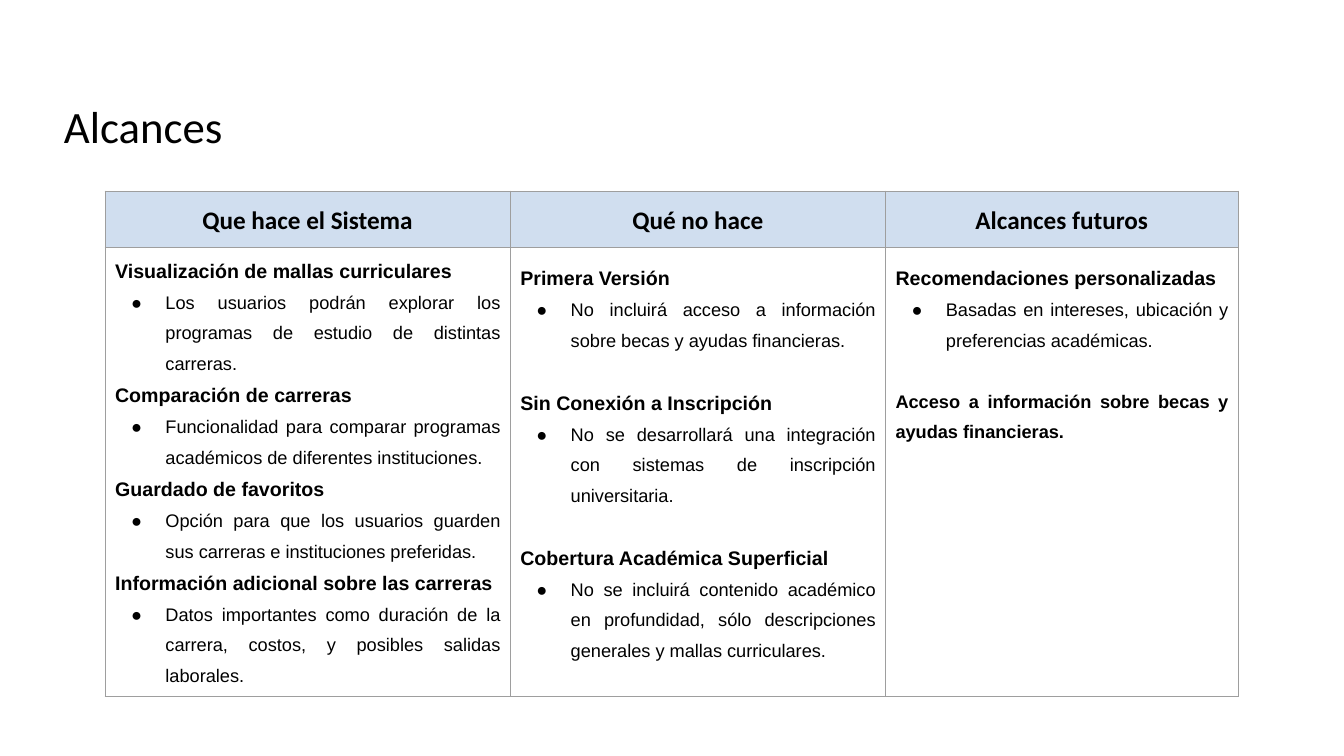
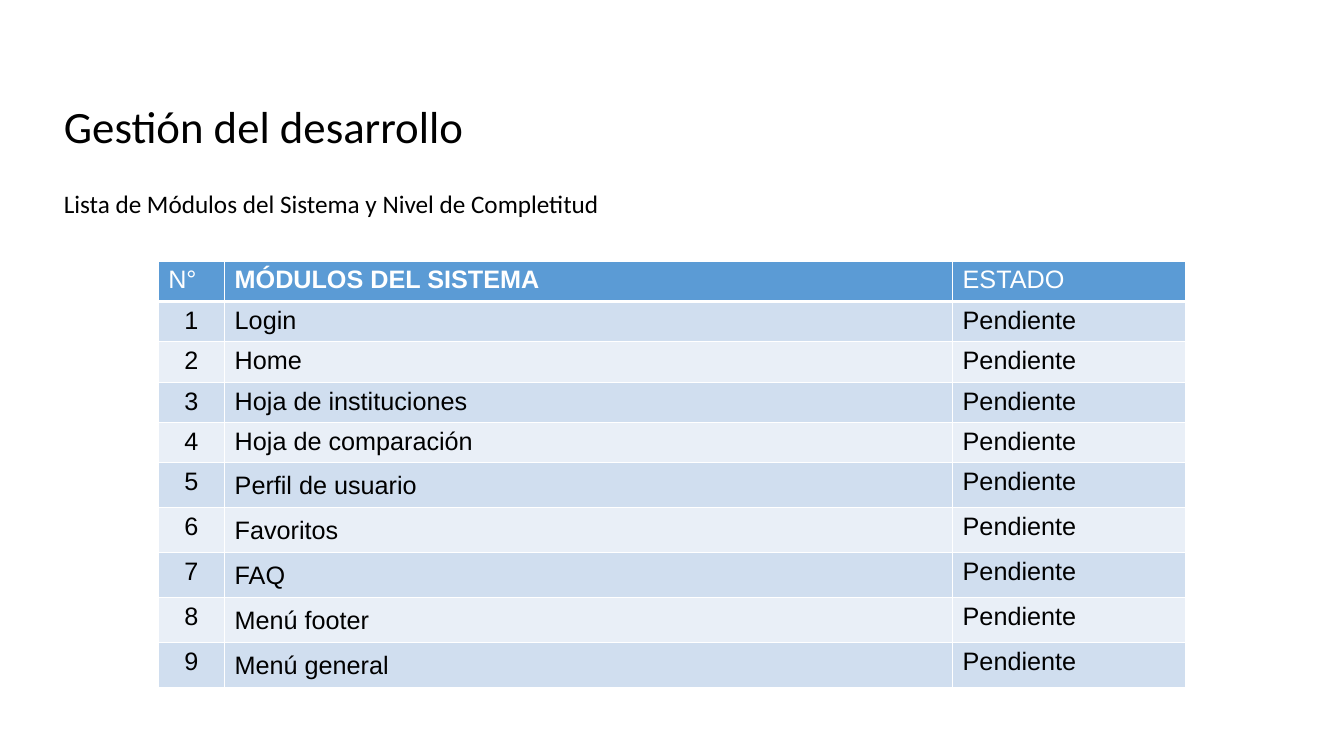
from dataclasses import dataclass

from lxml import etree
from pptx import Presentation
from pptx.dml.color import RGBColor
from pptx.enum.text import MSO_ANCHOR, PP_ALIGN
from pptx.oxml.ns import qn
from pptx.util import Pt

LEFT, CENTER, JUSTIFY = PP_ALIGN.LEFT, PP_ALIGN.CENTER, PP_ALIGN.JUSTIFY
MIDDLE = MSO_ANCHOR.MIDDLE
TITLE_ONLY = 5


@dataclass(frozen=True)
class Theme:
    black: str = "000000"
    white: str = "FFFFFF"
    grid: str = "9E9E9E"
    accent: str = "5B9BD5"
    band: str = "D0DEEF"
    pale_band: str = "E9EFF7"
    heading_font: str = "Calibri"
    body_font: str = "Arial"
    title: float = 32
    label: float = 18
    topic: float = 14
    detail: float = 13


THEME = Theme()


@dataclass
class Line:
    text: str
    size: float = THEME.label
    font: str = THEME.body_font
    color: str = THEME.black
    bold: bool = False
    align: PP_ALIGN = LEFT
    spacing: float = 1.0
    gap: float = 0
    bullet: bool = False


class Deck:
    def __init__(self, theme):
        self.theme = theme
        self.presentation = Presentation()
        self.presentation.slide_width = Pt(960)
        self.presentation.slide_height = Pt(540)
        self.slide = None

    def new_slide(self, heading):
        layout = self.presentation.slide_layouts[TITLE_ONLY]
        self.slide = self.presentation.slides.add_slide(layout)
        title = self.slide.shapes.title
        title.left, title.top = Pt(38.5), Pt(63.5)
        title.width, title.height = Pt(883.5), Pt(57)
        title.text_frame.vertical_anchor = MIDDLE
        self.set_lines(title.text_frame, [Line(
            heading, self.theme.title, self.theme.heading_font, spacing=0.9)])

    def set_lines(self, frame, lines):
        frame.word_wrap = True
        for index, line in enumerate(lines):
            paragraph = frame.add_paragraph() if index else frame.paragraphs[0]
            paragraph.text = line.text
            paragraph.alignment = line.align
            paragraph.line_spacing = line.spacing
            paragraph.space_before = Pt(line.gap)
            if line.bullet:
                self.add_bullet(paragraph)
            font = paragraph.font
            font.name, font.size, font.bold = line.font, Pt(line.size), line.bold
            font.color.rgb = RGBColor.from_string(line.color)

    def add_bullet(self, paragraph):
        properties = paragraph._p.get_or_add_pPr()
        properties.set("marL", str(Pt(36)))
        properties.set("indent", str(Pt(-24.5)))
        color = etree.SubElement(properties, qn("a:buClr"))
        etree.SubElement(color, qn("a:srgbClr"), val=self.theme.black)
        etree.SubElement(properties, qn("a:buFont"), typeface=self.theme.body_font)
        etree.SubElement(properties, qn("a:buChar"), char="●")

    def text(self, left, top, width, height, lines):
        box = self.slide.shapes.add_textbox(Pt(left), Pt(top), Pt(width), Pt(height))
        self.set_lines(box.text_frame, lines)

    def table(self, left, top, widths, heights):
        frame = self.slide.shapes.add_table(
            len(heights), len(widths), Pt(left), Pt(top),
            Pt(sum(widths)), Pt(sum(heights)))
        table = frame.table
        table.first_row = table.horz_banding = False
        for column, width in zip(table.columns, widths):
            column.width = Pt(width)
        for row, height in zip(table.rows, heights):
            row.height = Pt(height)
        return table

    def cell(self, cell, lines, fill, border, weights, inset=3.6):
        cell.margin_left = cell.margin_right = Pt(7.2)
        cell.margin_top = cell.margin_bottom = Pt(inset)
        if fill:
            cell.fill.solid()
            cell.fill.fore_color.rgb = RGBColor.from_string(fill)
        else:
            cell.fill.background()
        properties = cell._tc.get_or_add_tcPr()
        for index, (side, weight) in enumerate(zip("LRTB", weights)):
            edge = etree.Element(qn(f"a:ln{side}"), w=str(Pt(weight)))
            paint = etree.SubElement(edge, qn("a:solidFill"))
            etree.SubElement(paint, qn("a:srgbClr"), val=border)
            properties.insert(index, edge)
        self.set_lines(cell.text_frame, lines)


def topic(text, spacing=1.5, gap=0, size=THEME.topic):
    return Line(text, size, bold=True, align=JUSTIFY, spacing=spacing, gap=gap)


def detail(text):
    return Line(text, THEME.detail, align=JUSTIFY, spacing=1.5, bullet=True)


def scope_slide(deck):
    deck.new_slide("Alcances")
    gap = 21.75
    scopes = {
        "Que hace el Sistema": [
            topic("Visualización de mallas curriculares", spacing=1.15),
            detail("Los usuarios podrán explorar los programas de estudio de distintas carreras."),
            topic("Comparación de carreras"),
            detail("Funcionalidad para comparar programas académicos de diferentes instituciones."),
            topic("Guardado de favoritos"),
            detail("Opción para que los usuarios guarden sus carreras e instituciones preferidas."),
            topic("Información adicional sobre las carreras"),
            detail("Datos importantes como duración de la carrera, costos, y posibles salidas laborales."),
        ],
        "Qué no hace": [
            topic("Primera Versión"),
            detail("No incluirá acceso a información sobre becas y ayudas financieras."),
            topic("Sin Conexión a Inscripción", gap=gap),
            detail("No se desarrollará una integración con sistemas de inscripción universitaria."),
            topic("Cobertura Académica Superficial", gap=gap),
            detail("No se incluirá contenido académico en profundidad, sólo descripciones generales y mallas curriculares."),
        ],
        "Alcances futuros": [
            topic("Recomendaciones personalizadas"),
            detail("Basadas en intereses, ubicación y preferencias académicas."),
            topic("Acceso a información sobre becas y ayudas financieras.",
                  gap=gap, size=THEME.detail),
        ],
    }
    table = deck.table(75, 136.5, [289.5, 268, 252], [40, 320.5])
    weights = [0.75] * 4
    for column, (heading, points) in enumerate(scopes.items()):
        header = Line(heading, font=THEME.heading_font, bold=True,
                      align=CENTER, spacing=1.15)
        deck.cell(table.cell(0, column), [header], THEME.band,
                  THEME.grid, weights, inset=7.2)
        deck.cell(table.cell(1, column), points, None,
                  THEME.grid, weights, inset=7.2)


def modules_slide(deck):
    deck.new_slide("Gestión del desarrollo")
    deck.text(38.5, 127.5, 847.5, 29, [Line(
        "Lista de Módulos del Sistema y Nivel de Completitud",
        font=THEME.heading_font, align=JUSTIFY, spacing=1.15)])
    modules = ["Login", "Home", "Hoja de instituciones", "Hoja de comparación",
               "Perfil de usuario", "Favoritos", "FAQ", "Menú footer", "Menú general"]
    first_spaced = 5
    table = deck.table(113, 186.5, [47.5, 520, 166.5], [26.6] * (len(modules) + 1))
    for column, heading in enumerate(["N°", "MÓDULOS DEL SISTEMA", "ESTADO"]):
        header = Line(heading, color=THEME.white, bold=column == 1)
        deck.cell(table.cell(0, column), [header], THEME.accent,
                  THEME.white, [1, 1, 1, 3])
    for number, module in enumerate(modules, 1):
        fill = THEME.band if number % 2 else THEME.pale_band
        spaced = number >= first_spaced
        entries = [
            Line(str(number), align=CENTER),
            Line(module, align=JUSTIFY if spaced else LEFT,
                 spacing=1.15 if spaced else 1.0),
            Line("Pendiente"),
        ]
        weights = [1, 1, 3 if number == 1 else 1, 1]
        for column, entry in enumerate(entries):
            deck.cell(table.cell(number, column), [entry], fill, THEME.white, weights)


def main():
    deck = Deck(THEME)
    scope_slide(deck)
    modules_slide(deck)
    deck.presentation.save("out.pptx")


if __name__ == "__main__":
    main()
